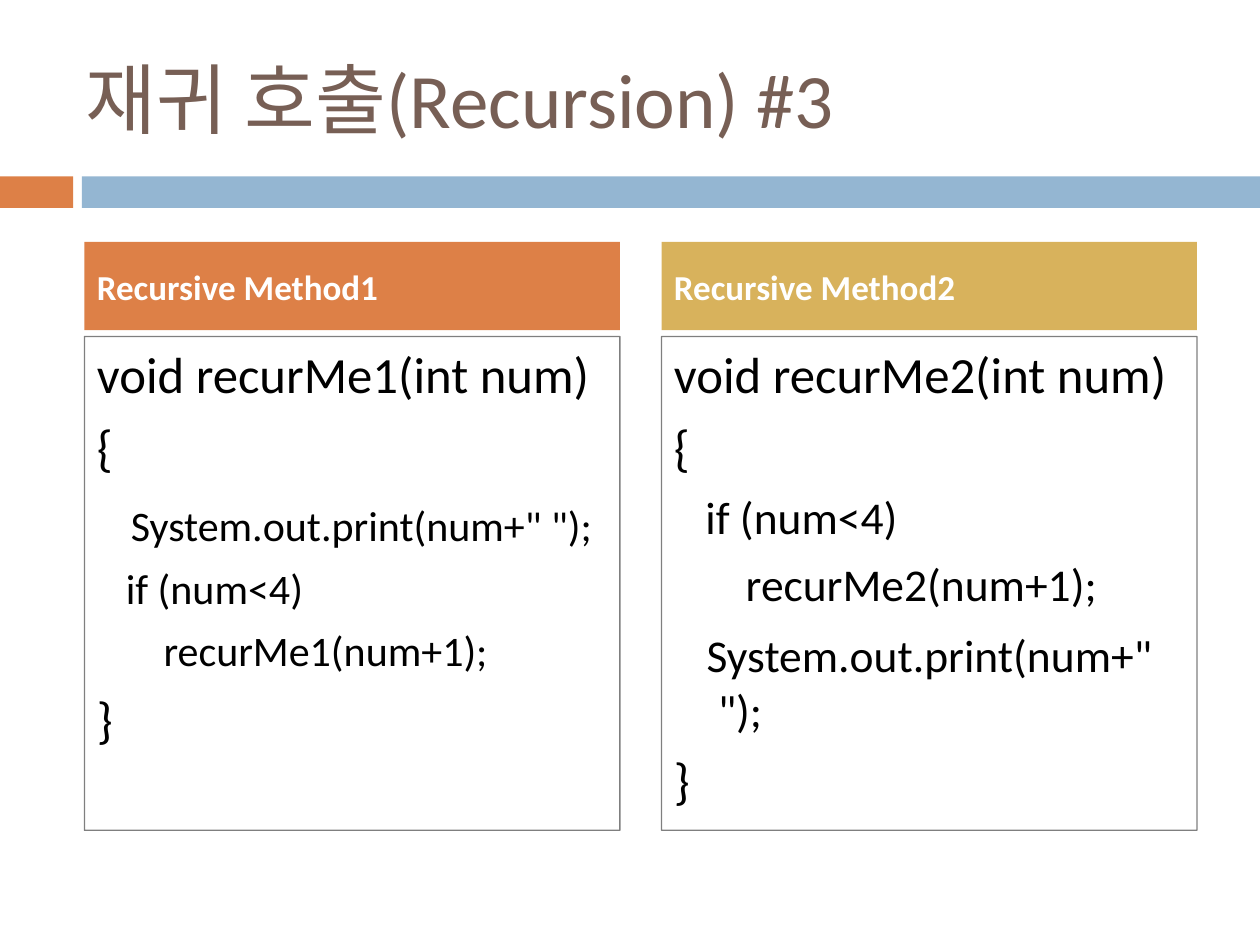
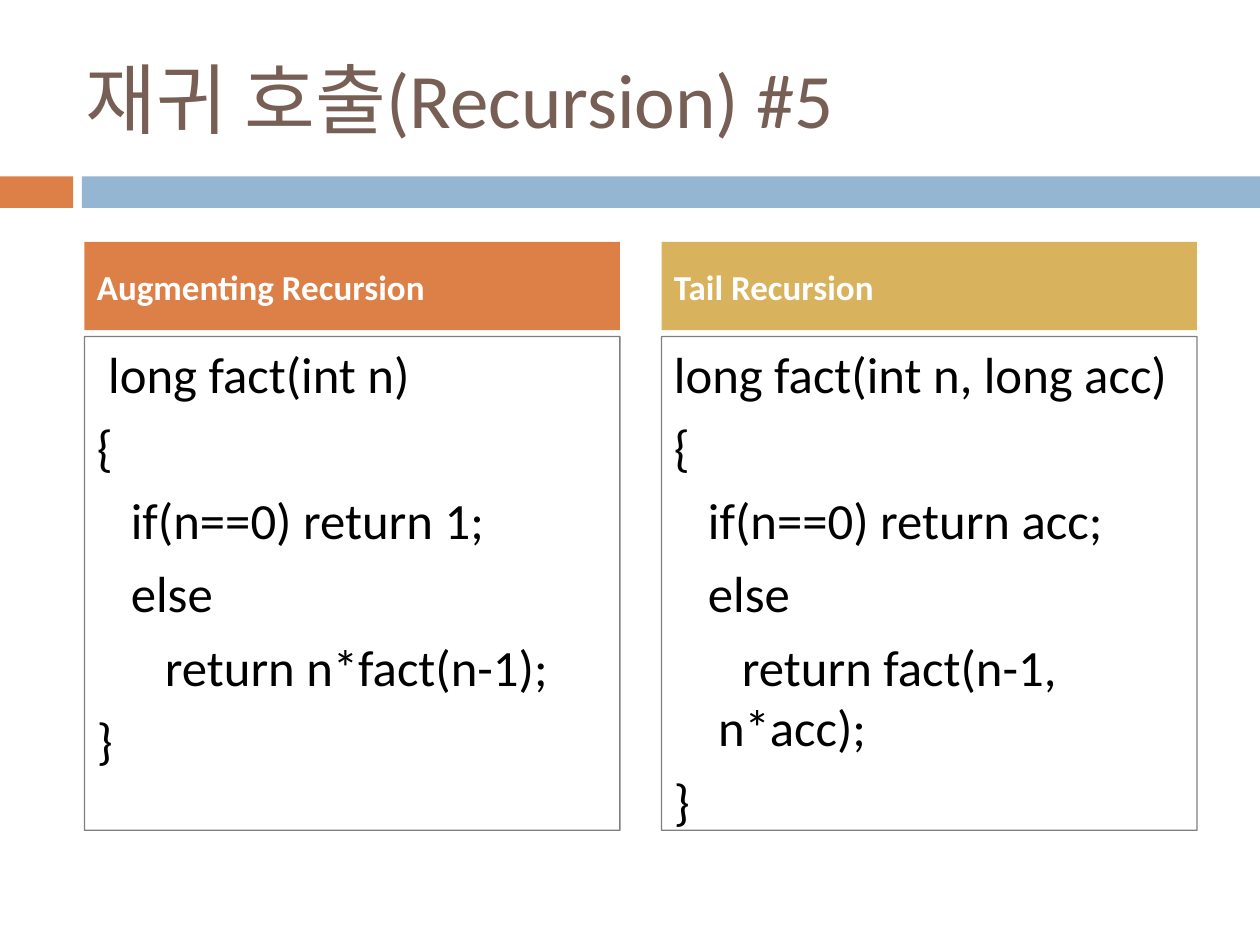
from pptx import Presentation
from pptx.dml.color import RGBColor
from pptx.enum.shapes import MSO_SHAPE
from pptx.enum.text import MSO_ANCHOR, MSO_AUTO_SIZE, PP_ALIGN
from pptx.oxml.ns import qn
from pptx.util import Inches, Pt
from lxml import etree

RECT = MSO_SHAPE.RECTANGLE
TOP, MIDDLE = MSO_ANCHOR.TOP, MSO_ANCHOR.MIDDLE
LEFT = PP_ALIGN.LEFT
NO_FIT = MSO_AUTO_SIZE.NONE

FONT = "Calibri"
ORANGE, BLUE, GOLD = "DD8047", "94B6D2", "D8B25C"
BROWN, BLACK, WHITE = "775F55", "000000", "FFFFFF"

# Bands: left, width, colour
BANDS = [(0, 0.58, ORANGE), (0.65, 9.35, BLUE)]
BAND_TOP, BAND_HIGH = 1.4, 0.25

# Columns: left edge and head colour
COLS = [(0.67, ORANGE), (5.25, GOLD)]
WIDE = 4.25
HEAD_TOP, HEAD_HIGH = 1.92, 0.7
CODE_TOP, CODE_HIGH = 2.67, 3.92
HANG = 0.35
GAP = 7

# Code lines: text, indent in inches, size, space before in points
BIG = 29
SLIDES = [
    ("재귀 호출(Recursion) #3", [
        ("Recursive Method1", [
            ("void recurMe1(int num)", 0, BIG, GAP),
            ("{", 0, BIG, GAP),
            ('System.out.print(num+" ");', 0.27, 24, 13),
            ("if (num<4)", 0.23, 24, GAP),
            ("recurMe1(num+1);", 0.53, 24, GAP),
            ("}", 0, BIG, GAP)]),
        ("Recursive Method2", [
            ("void recurMe2(int num)", 0, BIG, GAP),
            ("{", 0, BIG, GAP),
            ("if (num<4)", 0.25, 26, GAP),
            ("recurMe2(num+1);", 0.57, 26, GAP),
            ('System.out.print(num+" ");', 0.26, 26, 9.5),
            ("}", 0, BIG, GAP)])]),
    ("재귀 호출(Recursion) #5", [
        ("Augmenting Recursion", [
            ("long fact(int n)", 0.09, BIG, GAP),
            ("{", 0, BIG, GAP),
            ("if(n==0) return 1;", 0.27, BIG, GAP),
            ("else", 0.27, BIG, GAP),
            ("return n*fact(n-1);", 0.54, BIG, GAP),
            ("}", 0, BIG, GAP)]),
        ("Tail Recursion", [
            ("long fact(int n, long acc)", 0, BIG, GAP),
            ("{", 0, BIG, GAP),
            ("if(n==0) return acc;", 0.27, BIG, GAP),
            ("else", 0.27, BIG, GAP),
            ("return fact(n-1, n*acc);", 0.54, BIG, GAP),
            ("}", 0, BIG, GAP)])]),
]


def rgb(code):
    """Turn a hex string into a colour."""
    return RGBColor.from_string(code)


def frame(shape, anchor):
    """Set up a shape's text frame and return it."""
    body = shape.text_frame
    body.word_wrap = True
    body.auto_size = NO_FIT
    body.vertical_anchor = anchor
    return body


def write(para, text, size, color, bold=False, gap=0, hang=0, first=0):
    """Fill a paragraph; first is where its first line starts."""
    para.alignment = LEFT
    para.space_before = Pt(gap)
    props = para._p.get_or_add_pPr()
    props.set("marL", str(Inches(hang)))
    props.set("indent", str(Inches(first - hang)))
    run = para.add_run()
    run.text = text
    font = run.font
    font.name, font.size, font.bold = FONT, Pt(size), bold
    font.color.rgb = rgb(color)


def box(slide, left, top, wide, high, fill=None):
    """Add a plain rectangle with no line."""
    shape = slide.shapes.add_shape(
        RECT, Inches(left), Inches(top), Inches(wide), Inches(high))
    shape.shadow.inherit = False
    shape.line.fill.background()
    if fill:
        shape.fill.solid()
        shape.fill.fore_color.rgb = rgb(fill)
    else:
        shape.fill.background()
    return shape


def outline(shape):
    """Give a shape a thin, half clear black line."""
    shape.line.width = Pt(0.75)
    shape.line.color.rgb = rgb(BLACK)
    color = shape.line._ln.find(".//" + qn("a:srgbClr"))
    etree.SubElement(color, qn("a:alpha")).set("val", "50000")


def add_bands(slide, layout):
    """Draw the bands and move them to the shared layout."""
    for left, wide, fill in BANDS:
        band = box(slide, left, BAND_TOP, wide, BAND_HIGH, fill)
        layout.shapes._spTree.append(band._element)


def add_title(slide, text):
    """Place and fill the title."""
    title = slide.shapes.title
    title.left, title.top = Inches(0.58), Inches(0.3)
    title.width, title.height = Inches(8.92), Inches(0.95)
    write(frame(title, MIDDLE).paragraphs[0], text, 44, BROWN)


def add_code(slide, left, lines):
    """Add an outlined box of code."""
    shape = box(slide, left, CODE_TOP, WIDE, CODE_HIGH)
    outline(shape)
    body = frame(shape, TOP)
    for i, (text, first, size, gap) in enumerate(lines):
        para = body.add_paragraph() if i else body.paragraphs[0]
        write(para, text, size, BLACK, gap=gap, hang=HANG, first=first)


def add_head(slide, left, text, fill):
    """Add a coloured column head."""
    shape = box(slide, left, HEAD_TOP, WIDE, HEAD_HIGH, fill)
    write(frame(shape, MIDDLE).paragraphs[0], text, 20, WHITE,
          bold=True, gap=GAP)


deck = Presentation()
deck.slide_width, deck.slide_height = Inches(10), Inches(7.5)
layout = deck.slide_layouts[5]
for i, (name, parts) in enumerate(SLIDES):
    slide = deck.slides.add_slide(layout)
    if i == 0:
        add_bands(slide, layout)
    add_title(slide, name)
    for (left, fill), (head, lines) in zip(COLS, parts):
        add_code(slide, left, lines)
        add_head(slide, left, head, fill)
deck.save("out.pptx")
